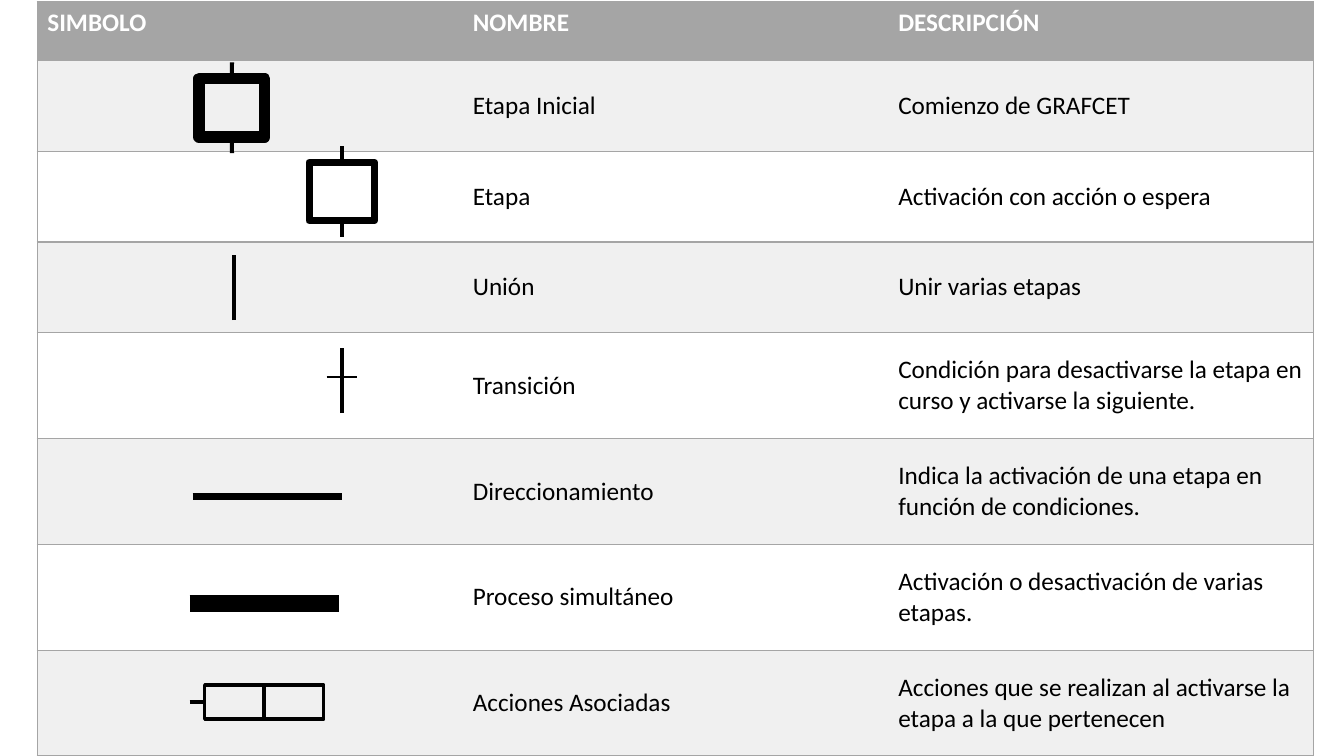
from dataclasses import dataclass
from itertools import accumulate

from lxml.etree import SubElement
from pptx import Presentation
from pptx.dml.color import RGBColor
from pptx.enum.shapes import MSO_CONNECTOR, MSO_SHAPE
from pptx.enum.text import MSO_ANCHOR
from pptx.oxml import parse_xml
from pptx.oxml.ns import nsdecls, qn
from pptx.util import Inches, Pt


@dataclass(frozen=True)
class Theme:
    """Colours, font and sizes of the slide."""
    accent: str = "A5A5A5"
    band: str = "F0F0F0"
    paper: str = "FFFFFF"
    ink: str = "000000"
    font: str = "Calibri"
    text_size: float = 18
    border: float = 1
    stroke: float = 3
    thin: float = 1.5
    action: float = 2.5


THEME = Theme()
COLUMN_WIDTH = 4.22
ROW_HEIGHTS = [0.58] + [0.9] * 3 + [1.05] * 4
ROWS = [
    ("SIMBOLO", "NOMBRE", "DESCRIPCIÓN"),
    ("", "Etapa Inicial", "Comienzo de GRAFCET"),
    ("", "Etapa", "Activación con acción o espera"),
    ("", "Unión", "Unir varias etapas"),
    ("", "Transición", "Condición para desactivarse la etapa en curso y activarse la siguiente."),
    ("", "Direccionamiento", "Indica la activación de una etapa en función de condiciones."),
    ("", "Proceso simultáneo", "Activación o desactivación de varias etapas."),
    ("", "Acciones Asociadas", "Acciones que se realizan al activarse la etapa a la que pertenecen"),
]


def add_borders(cell, visible_sides):
    """Rule the visible sides of a cell and clear the others."""
    for position, side in enumerate("LRTB"):
        paint = (f'<a:solidFill><a:srgbClr val="{THEME.accent}"/></a:solidFill>'
                 if side in visible_sides else "<a:noFill/>")
        border = parse_xml(f'<a:ln{side} {nsdecls("a")} w="{Pt(THEME.border)}">{paint}</a:ln{side}>')
        cell._tc.get_or_add_tcPr().insert(position, border)


def fill_cell(cell, text, is_header, colour):
    """Write and format one cell."""
    cell.fill.solid()
    cell.fill.fore_color.rgb = RGBColor.from_string(colour)
    cell.vertical_anchor = MSO_ANCHOR.TOP if is_header else MSO_ANCHOR.MIDDLE
    cell.text_frame.text = text
    for run in cell.text_frame.paragraphs[0].runs:
        run.font.name = THEME.font
        run.font.size = Pt(THEME.text_size)
        run.font.bold = is_header
        run.font.color.rgb = RGBColor.from_string(THEME.paper if is_header else THEME.ink)


def add_glossary(slide, left, top):
    """Place the table of symbols, names and descriptions."""
    columns = len(ROWS[0])
    glossary = slide.shapes.add_table(
        len(ROWS), columns, Inches(left), Inches(top),
        Inches(COLUMN_WIDTH * columns), Inches(sum(ROW_HEIGHTS))).table
    glossary.horz_banding = False
    for column in glossary.columns:
        column.width = Inches(COLUMN_WIDTH)
    for row_index, (texts, height) in enumerate(zip(ROWS, ROW_HEIGHTS)):
        glossary.rows[row_index].height = Inches(height)
        colour = (THEME.paper, THEME.band)[row_index % 2] if row_index else THEME.accent
        for column_index, text in enumerate(texts):
            cell = glossary.cell(row_index, column_index)
            fill_cell(cell, text, row_index == 0, colour)
            outer = {0: "L", columns - 1: "R"}.get(column_index, "")
            add_borders(cell, "TB" + outer)


def add_stroke(shapes, start, end, weight=THEME.stroke):
    """Draw a straight black line between two points."""
    stroke = shapes.add_connector(
        MSO_CONNECTOR.STRAIGHT, *(Inches(value) for value in (*start, *end)))
    stroke.line.color.rgb = RGBColor.from_string(THEME.ink)
    stroke.line.width = Pt(weight)
    SubElement(stroke._element.spPr, qn("a:effectLst"))
    return stroke


def add_frame(shapes, x, y, width, height, weight):
    """Draw an unfilled black box centred on a point."""
    frame = shapes.add_shape(
        MSO_SHAPE.FLOWCHART_PROCESS, Inches(x - width / 2), Inches(y - height / 2),
        Inches(width), Inches(height))
    frame.shadow.inherit = False
    frame.fill.background()
    frame.line.color.rgb = RGBColor.from_string(THEME.ink)
    frame.line.width = Pt(weight)
    return frame


def draw_stage(shapes, x, y, weight):
    """Draw a stage: a box with a stub above and below."""
    width, height, stub = 0.65, 0.58, 0.16
    symbol = shapes.add_group_shape().shapes
    frame = add_frame(symbol, x, y, width, height, weight)
    for direction, side in ((-1, 0), (1, 2)):
        edge = y + direction * height / 2
        stroke = add_stroke(symbol, (x, edge), (x, edge + direction * stub))
        stroke.begin_connect(frame, side)


def draw_union(shapes, x, y):
    """Draw a vertical link."""
    half = 0.325
    add_stroke(shapes, (x, y + half), (x, y - half))


def draw_transition(shapes, x, y):
    """Draw a vertical link crossed by a short bar."""
    half, bar_y = 0.15, y - 0.035
    symbol = shapes.add_group_shape().shapes
    draw_union(symbol, x, y)
    add_stroke(symbol, (x - half, bar_y), (x + half, bar_y), THEME.thin)


def draw_bar(shapes, x, y, weight):
    """Draw a horizontal bar."""
    half = 0.74
    add_stroke(shapes, (x - half, y), (x + half, y), weight)


def draw_actions(shapes, x, y):
    """Draw two adjoining action boxes with a stub on the left."""
    width, height, stub = 0.59, 0.34, 0.15
    symbol = shapes.add_group_shape().shapes
    first, _ = [add_frame(symbol, x + shift * width / 2, y, width, height, THEME.action)
                for shift in (-1, 1)]
    edge = x - width
    stroke = add_stroke(symbol, (edge - stub, y), (edge, y))
    stroke.end_connect(first, 1)


SYMBOLS = [
    (draw_stage, 1.93, 0.02, (8.25,)),
    (draw_stage, 3.02, -0.05, (5,)),
    (draw_union, 1.95, 0, ()),
    (draw_transition, 3.02, -0.05, ()),
    (draw_bar, 2.28, 0.05, (5,)),
    (draw_bar, 2.25, 0.06, (12,)),
    (draw_actions, 2.25, -0.01, ()),
]


def add_symbols(slide, left, top):
    """Place each symbol relative to the middle of its table row."""
    row_tops = accumulate(ROW_HEIGHTS[:-1], initial=top)
    body_rows = list(zip(row_tops, ROW_HEIGHTS))[1:]
    for (row_top, height), (draw, across, shift, options) in zip(body_rows, SYMBOLS):
        draw(slide.shapes, left + across, row_top + height / 2 + shift, *options)


def main():
    """Build and save the slide."""
    presentation = Presentation()
    presentation.slide_width, presentation.slide_height = Inches(13.33), Inches(7.5)
    slide = presentation.slides.add_slide(presentation.slide_layouts[6])
    left, top = 0.37, 0.02
    add_glossary(slide, left, top)
    add_symbols(slide, left, top)
    presentation.save("out.pptx")


if __name__ == "__main__":
    main()
